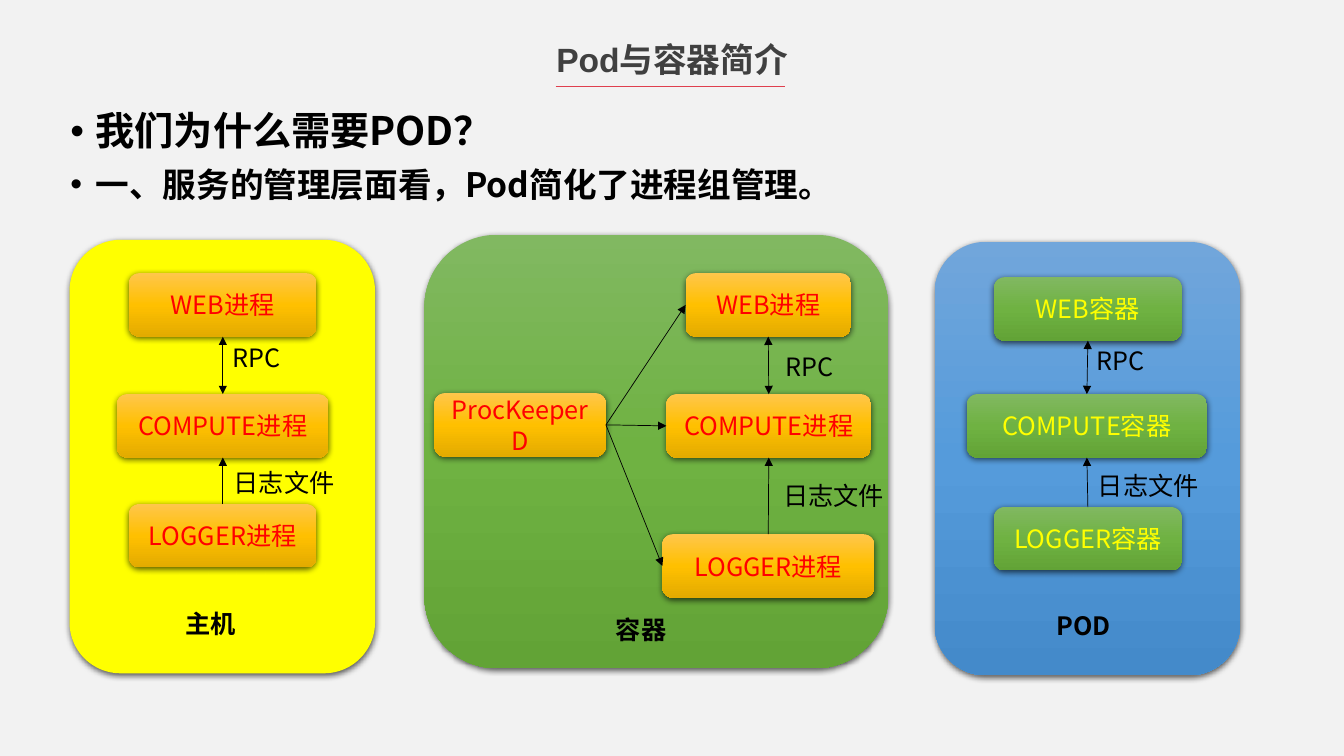
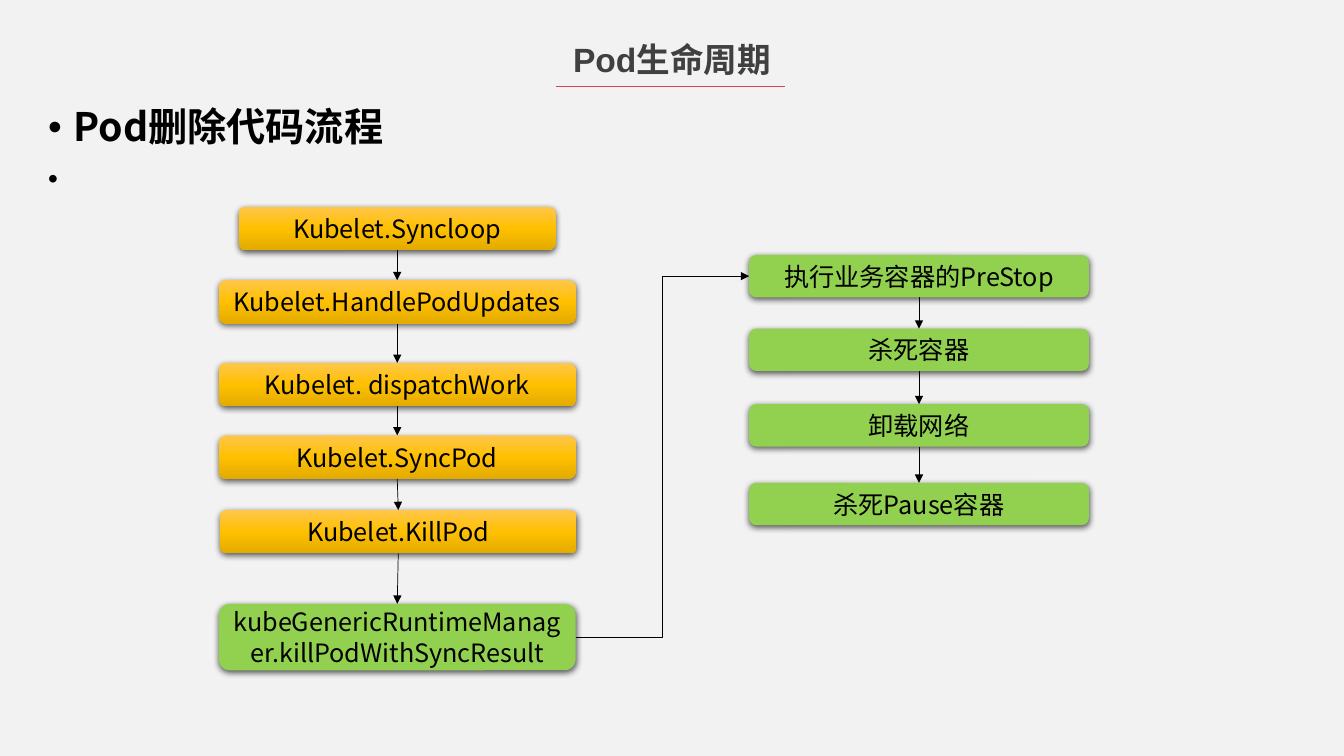
from copy import deepcopy
from dataclasses import dataclass
from itertools import pairwise

from lxml import etree
from pptx import Presentation
from pptx.dml.color import RGBColor
from pptx.enum import shapes, text
from pptx.oxml import ns
from pptx.util import Inches, Pt

# Shared look
CJK = "Noto Sans CJK SC"
BLACK, RED, YELLOW, LIME = "000000", "FF0000", "FFFF00", "92D050"
PAGE, TITLE, ACCENT = "F2F2F2", "404040", "DF3F4E"
ORANGE = ("FFC64B", "FFC000", "E3AB00")
GREEN = ("81B861", "6FB242", "62A336")
BLUE = ("71A6DB", "559BDB", "448ACA")
TOP, LEFT, BOTTOM, RIGHT = range(4)  # connection sites of a box
CENTER = text.PP_ALIGN.CENTER
STRAIGHT = shapes.MSO_CONNECTOR.STRAIGHT
Fill = str | tuple[str, ...]


@dataclass
class Box:
    text: str
    x: float
    y: float
    w: float
    h: float = 0.63


@dataclass
class Label:
    text: str
    x: float
    y: float
    w: float
    bold: bool = False


@dataclass
class Panel:
    frame: Box
    fill: Fill
    boxes: list[Box]  # web, compute, logger from top to bottom
    box_fill: Fill
    box_color: str
    labels: list[Label]


PANELS = [
    Panel(
        Box("", 0.69, 2.38, 3.03, 4.3), YELLOW,
        [Box("WEB进程", 1.28, 2.71, 1.86), Box("COMPUTE进程", 1.16, 3.91, 2.1),
         Box("LOGGER进程", 1.28, 5, 1.86)],
        ORANGE, RED,
        [Label("主机", 1.74, 5.99, 1.98, True), Label("RPC", 2.21, 3.35, 1.18),
         Label("日志文件", 2.22, 4.59, 1.34)],
    ),
    Panel(
        Box("", 4.21, 2.33, 4.6, 4.3), GREEN,
        [Box("WEB进程", 6.8, 2.71, 1.64), Box("COMPUTE进程", 6.61, 3.91, 2.03),
         Box("LOGGER进程", 6.57, 5.3, 2.1)],
        ORANGE, RED,
        [Label("容器", 6.01, 6.05, 3.01, True), Label("RPC", 7.69, 3.44, 1.8),
         Label("日志文件", 7.67, 4.72, 2.03)],
    ),
    Panel(
        Box("", 9.27, 2.4, 3.03, 4.3), BLUE,
        [Box("WEB容器", 9.86, 2.75, 1.86), Box("COMPUTE容器", 9.59, 3.91, 2.38),
         Box("LOGGER容器", 9.86, 5.03, 1.86)],
        GREEN, YELLOW,
        [Label("POD", 10.38, 6.01, 1.98, True), Label("RPC", 10.78, 3.38, 1.18),
         Label("日志文件", 10.79, 4.62, 1.34)],
    ),
]
PROCESS_KEEPER = Box("ProcKeeperD", 4.31, 3.9, 1.7)

KUBELET_STEPS = [
    Box("Kubelet.Syncloop", 2.37, 2.05, 3.14, 0.43),
    Box("Kubelet.HandlePodUpdates", 2.17, 2.78, 3.54, 0.43),
    Box("Kubelet. dispatchWork", 2.17, 3.6, 3.54, 0.43),
    Box("Kubelet.SyncPod", 2.17, 4.32, 3.54, 0.43),
    Box("Kubelet.KillPod", 2.18, 5.06, 3.54, 0.43),
]
RUNTIME_STEP = Box("kubeGenericRuntimeManager.killPodWithSyncResult", 2.17, 5.99, 3.54, 0.66)
KILL_STEPS = [
    Box(step, 7.43, y, 3.37, 0.42)
    for step, y in [("执行业务容器的PreStop", 2.53), ("杀死容器", 3.26),
                    ("卸载网络", 4.01), ("杀死Pause容器", 4.79)]
]


def rgb(color: str) -> RGBColor:
    return RGBColor.from_string(color)


def child(parent, tag: str, **attrs):
    return etree.SubElement(parent, ns.qn(tag), attrs)


# Text
def write(p, words: str, *, size: float = 18, color: str = BLACK, bold: bool = False,
          font: str = CJK, align=None) -> None:
    p.alignment = align
    r = p.add_run()
    r.text = words
    r.font.size, r.font.bold, r.font.name = Pt(size), bold, font
    r.font.color.rgb = rgb(color)
    child(r.font._element, "a:ea", typeface=CJK)


def add_text(slide, words: str, x: float, y: float, w: float, h: float = 0.4, **style) -> None:
    tf = slide.shapes.add_textbox(Inches(x), Inches(y), Inches(w), Inches(h)).text_frame
    tf.word_wrap = True
    tf.auto_size = text.MSO_AUTO_SIZE.SHAPE_TO_FIT_TEXT
    write(tf.paragraphs[0], words, **style)


def add_bullets(slide, x: float, y: float, w: float, h: float,
                items: list[tuple[str, float]]) -> None:
    tf = slide.shapes.add_textbox(Inches(x), Inches(y), Inches(w), Inches(h)).text_frame
    tf.word_wrap = True
    for i, (words, size) in enumerate(items):
        p = tf.add_paragraph() if i else tf.paragraphs[0]
        p.line_spacing, p.space_before = 0.9, Pt(10)
        ppr = p._p.get_or_add_pPr()
        ppr.set("marL", str(Inches(0.25)))
        ppr.set("indent", str(-Inches(0.25)))
        if words == "•":  # a lone mark with no text after it
            write(p, words, size=size, font="Arial")
            continue
        child(ppr, "a:buFont", typeface="Arial")
        child(ppr, "a:buChar", char="•")
        write(p, words, size=size, bold=True)


# Boxes
def paint(sp, fill: Fill) -> None:
    if isinstance(fill, str):
        sp.fill.solid()
        sp.fill.fore_color.rgb = rgb(fill)
        return
    sp.fill.gradient()
    sp.fill.gradient_angle = 270
    stops = sp._element.spPr.find(".//" + ns.qn("a:gsLst"))
    stops.append(deepcopy(stops[0]))
    for stop, color, position in zip(sp.fill.gradient_stops, fill, (0, 0.5, 1)):
        stop.color.rgb = rgb(color)
        stop.position = position


def add_box(slide, box: Box, fill: Fill, color: str = BLACK):
    sp = slide.shapes.add_shape(shapes.MSO_SHAPE.ROUNDED_RECTANGLE, Inches(box.x),
                                Inches(box.y), Inches(box.w), Inches(box.h))
    paint(sp, fill)
    sp.line.fill.background()
    sp.shadow.inherit = False
    effects = sp._element.spPr.find(ns.qn("a:effectLst"))
    shadow = child(effects, "a:outerShdw", blurRad=str(Pt(4.5)), dist=str(Pt(1.5)),
                   dir="5400000", algn="ctr", rotWithShape="0")
    child(child(shadow, "a:srgbClr", val=BLACK), "a:alpha", val="63000")
    if box.text:
        tf = sp.text_frame
        tf.word_wrap = True
        tf.vertical_anchor = text.MSO_ANCHOR.MIDDLE
        write(tf.paragraphs[0], box.text, color=color, align=CENTER)
    return sp


# Lines
def style_line(line, color: str, head: bool = False, tail: bool = False) -> None:
    line.line.color.rgb = rgb(color)
    line.line.width = Pt(0.5)
    props = line._element.spPr
    for tag, shown in (("a:headEnd", head), ("a:tailEnd", tail)):
        if shown:
            child(props.find(ns.qn("a:ln")), tag, type="triangle")
    child(props, "a:effectLst")


def link(slide, start, start_site: int, end, end_site: int, *, both: bool = False,
         kind=STRAIGHT) -> None:
    line = slide.shapes.add_connector(kind, 0, 0, 0, 0)
    line.begin_connect(start, start_site)
    line.end_connect(end, end_site)
    style_line(line, BLACK, head=both, tail=True)


def link_down(slide, steps: list) -> None:
    for upper, lower in pairwise(steps):
        link(slide, upper, BOTTOM, lower, TOP)


# Slides
def add_slide(prs, title: str):
    s = prs.slides.add_slide(prs.slide_layouts[6])
    add_text(s, title, 4.52, 0.34, 4.29, 0.5, size=24, color=TITLE, bold=True,
             font="Arial", align=CENTER)
    rule = s.shapes.add_connector(STRAIGHT, Inches(5.51), Inches(0.86), Inches(7.79), Inches(0.86))
    style_line(rule, ACCENT)
    return s


def add_panel(slide, panel: Panel) -> list:
    add_box(slide, panel.frame, panel.fill)
    boxes = [add_box(slide, b, panel.box_fill, panel.box_color) for b in panel.boxes]
    web, compute, logger = boxes
    link(slide, web, BOTTOM, compute, TOP, both=True)
    link(slide, logger, TOP, compute, BOTTOM)
    for label in panel.labels:
        add_text(slide, label.text, label.x, label.y, label.w, bold=label.bold)
    return boxes


def intro_slide(prs) -> None:
    s = add_slide(prs, "Pod与容器简介")
    add_bullets(s, 0.6, 1.06, 12.13, 6, [
        ("我们为什么需要POD？", 28),
        ("一、服务的管理层面看，Pod简化了进程组管理。", 24),
    ])
    _, container, _ = [add_panel(s, panel) for panel in PANELS]
    keeper = add_box(s, PROCESS_KEEPER, ORANGE, RED)
    for process in container:
        link(s, keeper, RIGHT, process, LEFT)


def lifecycle_slide(prs) -> None:
    s = add_slide(prs, "Pod生命周期")
    add_bullets(s, 0.38, 1.02, 12.13, 6.4, [("Pod删除代码流程", 28), ("•", 20)])
    calls = [add_box(s, step, ORANGE) for step in KUBELET_STEPS]
    calls.append(add_box(s, RUNTIME_STEP, LIME))
    kills = [add_box(s, step, LIME) for step in KILL_STEPS]
    link_down(s, calls)
    link_down(s, kills)
    link(s, calls[-1], RIGHT, kills[0], LEFT, kind=shapes.MSO_CONNECTOR.ELBOW)


def main() -> None:
    prs = Presentation()
    prs.slide_width, prs.slide_height = Inches(13.33), Inches(7.5)
    background = prs.slide_master.background.fill
    background.solid()
    background.fore_color.rgb = rgb(PAGE)
    intro_slide(prs)
    lifecycle_slide(prs)
    prs.save("out.pptx")


if __name__ == "__main__":
    main()
